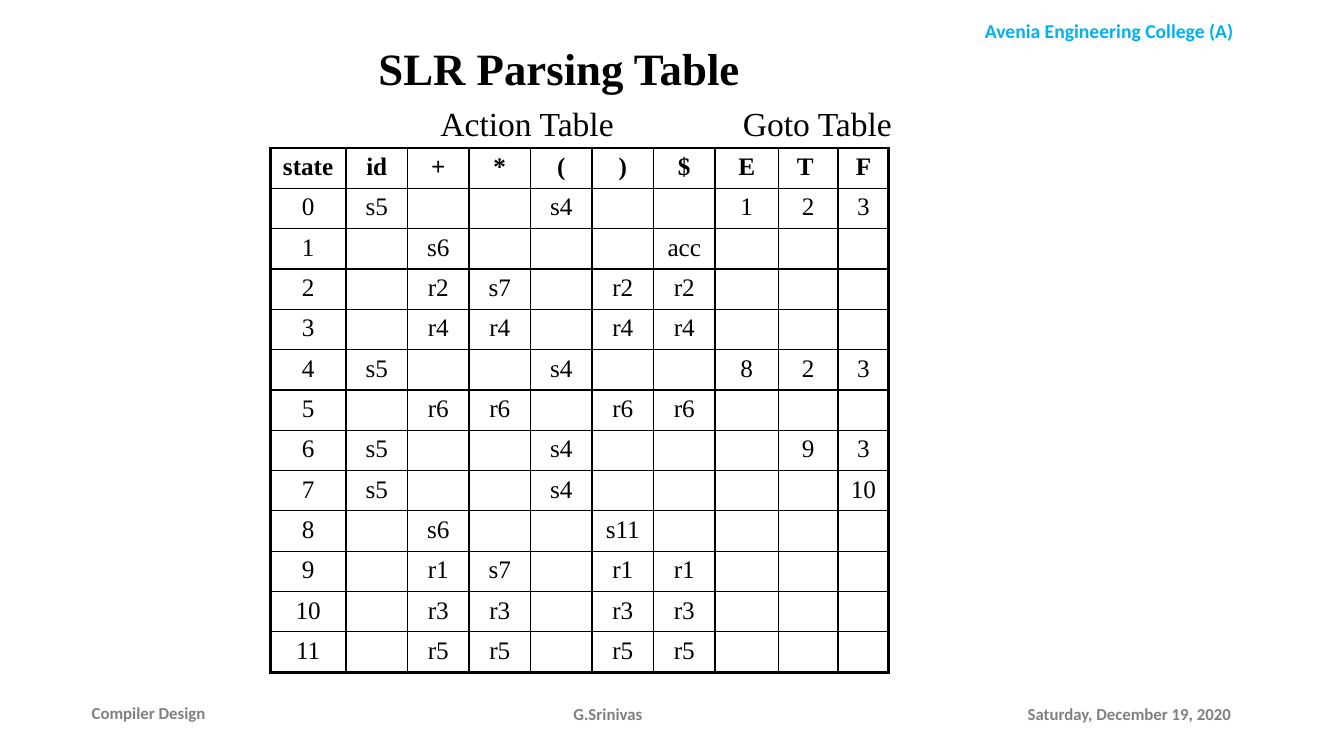
from lxml import etree
from pptx import Presentation
from pptx import util as u
from pptx.dml.color import RGBColor
from pptx.enum import text as t
from pptx.oxml import ns

SERIF = "Times New Roman"
SANS = "Calibri"
BLACK = "000000"
GREY = "808080"
THIN, THICK = 1, 2.25


def write(paragraph, words, color, **font_format):
    run = paragraph.add_run()
    run.text = words
    run.font.color.rgb = RGBColor.from_string(color)
    for name, value in font_format.items():
        setattr(run.font, name, value)


def draw_borders(cell, widths):
    """Give the cell black borders; widths in points run left, right, top, bottom."""
    properties = cell._tc.get_or_add_tcPr()
    for position, (side, width) in enumerate(zip("LRTB", widths)):
        line = etree.Element(ns.qn(f"a:ln{side}"), w=str(u.Pt(width)))
        fill = etree.SubElement(line, ns.qn("a:solidFill"))
        etree.SubElement(fill, ns.qn("a:srgbClr"), val=BLACK)
        properties.insert(position, line)


presentation = Presentation()
presentation.slide_width = u.Cm(33.87)
presentation.slide_height = u.Cm(19.05)
slide = presentation.slides.add_slide(presentation.slide_layouts[5])

# Title
title = slide.shapes.title
title_place = {"left": 1.07, "top": 0.43, "width": 26.04, "height": 2.54}
for name, value in title_place.items():
    setattr(title, name, u.Cm(value))
title.text_frame.vertical_anchor = t.MSO_ANCHOR.MIDDLE
title_paragraph = title.text_frame.paragraphs[0]
title_paragraph.alignment = t.PP_ALIGN.CENTER
write(title_paragraph, "SLR Parsing Table", BLACK, name=SERIF, size=u.Pt(32), bold=True)

# Header, footer and table captions
TOP, MIDDLE = t.MSO_ANCHOR.TOP, t.MSO_ANCHOR.MIDDLE
LEFT, CENTER, JUSTIFY = t.PP_ALIGN.LEFT, t.PP_ALIGN.CENTER, t.PP_ALIGN.JUSTIFY
header = {"name": SANS, "size": u.Pt(14), "bold": True}
footer = {"name": SANS, "size": u.Pt(12), "bold": True}
caption = {"name": SERIF, "size": u.Pt(24), "bold": False}
labels = [
    ("Avenia Engineering College (A)", (23.09, 0.36, 9.73, 0.86), TOP, CENTER, True, "00B0F0", header),
    ("Compiler Design", (2.06, 17.45, 5.36, 1.02), MIDDLE, JUSTIFY, True, GREY, footer),
    ("Saturday, December 19, 2020", (25.65, 17.48, 5.84, 1.02), MIDDLE, LEFT, True, GREY, footer),
    ("G.Srinivas", (11.51, 17.48, 7.62, 1.02), MIDDLE, CENTER, True, GREY, footer),
    ("Action Table", (10.85, 2.46, 5, 1.27), TOP, LEFT, False, BLACK, caption),
    ("Goto Table", (18.47, 2.46, 4.37, 1.27), TOP, LEFT, False, BLACK, caption),
]
for words, place, anchor, alignment, wrap, color, font_format in labels:
    box = slide.shapes.add_textbox(*map(u.Cm, place))
    box.text_frame.word_wrap = wrap
    box.text_frame.vertical_anchor = anchor
    paragraph = box.text_frame.paragraphs[0]
    paragraph.alignment = alignment
    write(paragraph, words, color, **font_format)

# Parsing table: state, action columns, goto columns
rows = [
    ["state", "id", "+", "*", "(", ")", "$", "E", "T ", "F"],
    ["0", "s5", "", "", "s4", "", "", "1", "2", "3"],
    ["1", "", "s6", "", "", "", "acc", "", "", ""],
    ["2", "", "r2", "s7", "", "r2", "r2", "", "", ""],
    ["3", "", "r4", "r4", "", "r4", "r4", "", "", ""],
    ["4", "s5", "", "", "s4", "", "", "8", "2", "3"],
    ["5", "", "r6", "r6", "", "r6", "r6", "", "", ""],
    ["6", "s5", "", "", "s4", "", "", "", "9", "3"],
    ["7", "s5", "", "", "s4", "", "", "", "", "10"],
    ["8", "", "s6", "", "", "s11", "", "", "", ""],
    ["9", "", "r1", "s7", "", "r1", "r1", "", "", ""],
    ["10", "", "r3", "r3", "", "r3", "r3", "", "", ""],
    ["11", "", "r5", "r5", "", "r5", "r5", "", "", ""],
]
column_widths = [1.91] + [1.55] * 6 + [1.6, 1.5, 1.28]
row_height = 1.016
last_row, last_column = len(rows) - 1, len(column_widths) - 1

table = slide.shapes.add_table(
    len(rows), len(column_widths), u.Cm(6.81), u.Cm(3.73),
    u.Cm(sum(column_widths)), u.Cm(row_height * len(rows)),
).table
table.first_row = table.horz_banding = False
for column, width in zip(table.columns, column_widths):
    column.width = u.Cm(width)

for row_index, row in enumerate(rows):
    table.rows[row_index].height = u.Cm(row_height)
    for column_index, words in enumerate(row):
        cell = table.cell(row_index, column_index)
        cell.fill.background()
        cell.margin_bottom = 0
        paragraph = cell.text_frame.paragraphs[0]
        paragraph.alignment = CENTER
        if words:
            write(paragraph, words, BLACK, name=SERIF, size=u.Pt(18), bold=row_index == 0)
        outer_sides = (column_index == 0, column_index == last_column,
                       row_index == 0, row_index == last_row)
        draw_borders(cell, [THICK if outer else THIN for outer in outer_sides])

presentation.save("out.pptx")
